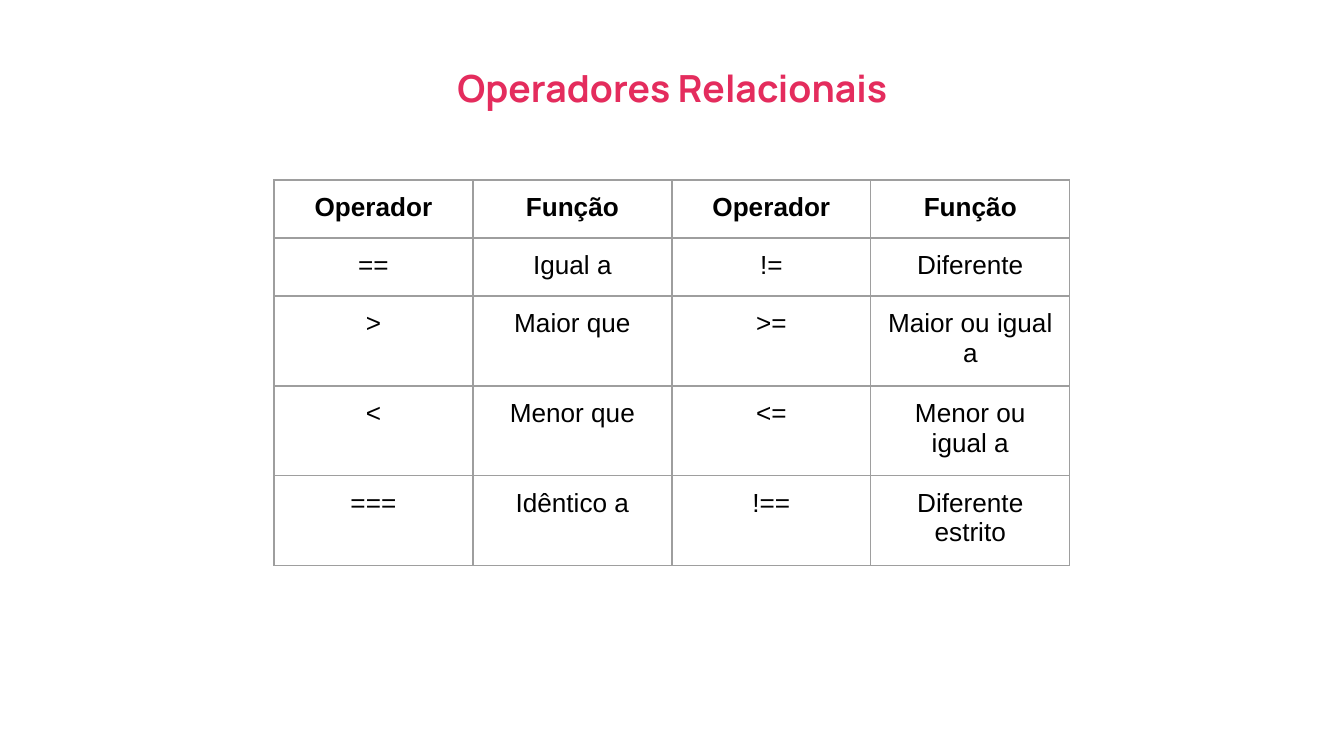
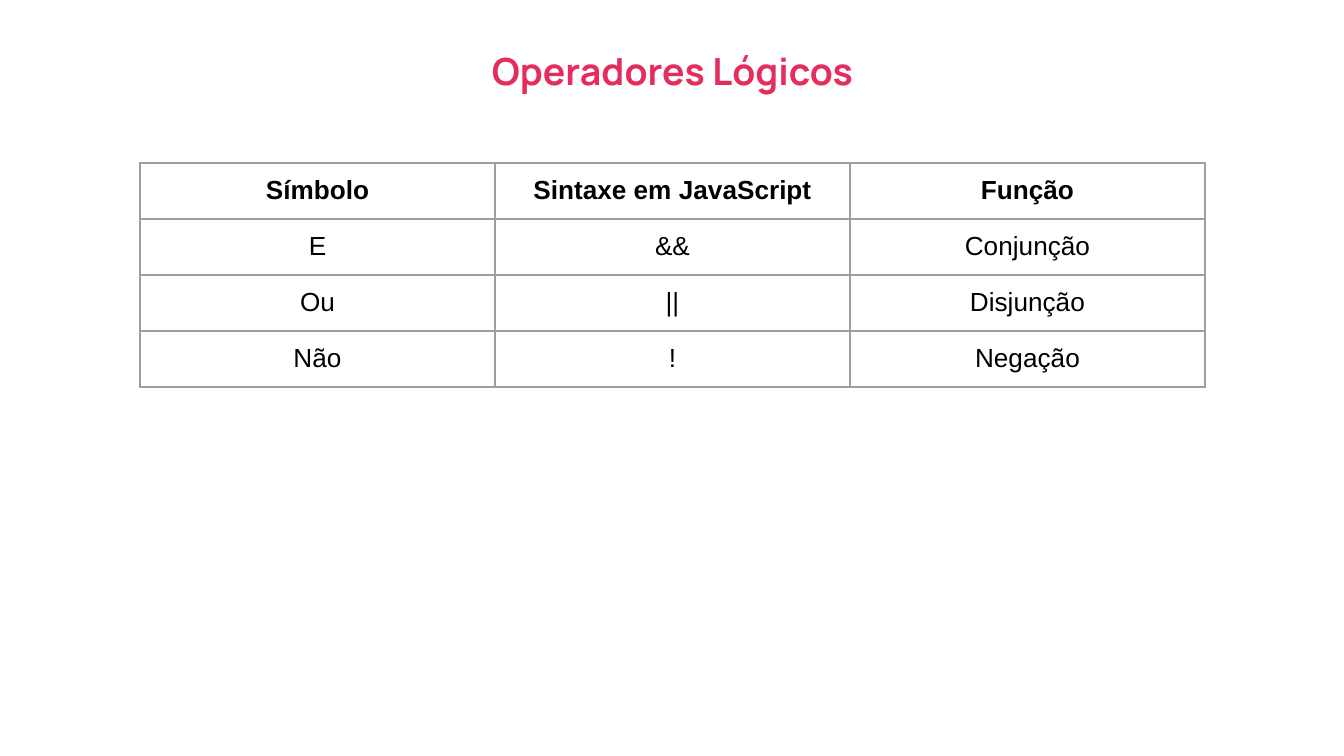
from lxml.etree import SubElement
from pptx import Presentation
from pptx.dml.color import RGBColor
from pptx.enum.text import MSO_ANCHOR, PP_ALIGN
from pptx.oxml.ns import qn
from pptx.util import Pt

SCALE = 914400 / 134.4
PINK = RGBColor(0xE4, 0x2C, 0x5D)
BLACK = RGBColor(0x00, 0x00, 0x00)
GRAY = RGBColor(0x9E, 0x9E, 0x9E)
INSET = 13

RELATIONAL = [
    ("Operador", "Função", "Operador", "Função"),
    ("==", "Igual a", "!=", "Diferente"),
    (">", "Maior que", ">=", "Maior ou igual a"),
    ("<", "Menor que", "<=", "Menor ou igual a"),
    ("===", "Idêntico a", "!==", "Diferente estrito"),
]
LOGICAL = [
    ("Símbolo", "Sintaxe em JavaScript", "Função"),
    ("E", "&&", "Conjunção"),
    ("Ou", "||", "Disjunção"),
    ("Não", "!", "Negação"),
]


def px(n):
    """Turn pixels into EMU."""
    return round(n * SCALE)


def set_text(tf, text, font="Arial", size=14, color=BLACK, bold=False):
    """Write one centred, formatted paragraph into a text frame."""
    p = tf.paragraphs[0]
    p.alignment = PP_ALIGN.CENTER
    r = p.add_run()
    r.text = text
    r.font.name = font
    r.font.size = Pt(size)
    r.font.bold = bold
    r.font.color.rgb = color


def set_insets(target):
    """Give a text frame or table cell the shared margins."""
    target.margin_left = target.margin_right = px(INSET)
    target.margin_top = target.margin_bottom = px(INSET)


def set_borders(cell):
    """Draw a thin gray line on each side of a cell."""
    tc_pr = cell._tc.get_or_add_tcPr()
    for side in ("a:lnL", "a:lnR", "a:lnT", "a:lnB"):
        ln = SubElement(tc_pr, qn(side), w=str(Pt(0.75)))
        fill = SubElement(ln, qn("a:solidFill"))
        SubElement(fill, qn("a:srgbClr"), val=str(GRAY))


def add_title(slide, text, x, y, w, h):
    """Place and format the title placeholder."""
    sp = slide.shapes.title
    sp.left, sp.top, sp.width, sp.height = px(x), px(y), px(w), px(h)
    tf = sp.text_frame
    tf.word_wrap = True
    tf.vertical_anchor = MSO_ANCHOR.MIDDLE
    set_insets(tf)
    set_text(tf, text, font="Manrope", size=20, color=PINK, bold=True)


def add_operator_table(slide, rows, x, y, col_width, row_heights):
    """Add a bordered table with a bold header row and equal columns."""
    n_cols = len(rows[0])
    table = slide.shapes.add_table(
        len(rows), n_cols, px(x), px(y),
        px(col_width * n_cols), px(sum(row_heights))).table
    table.first_row = table.horz_banding = False
    for col in table.columns:
        col.width = px(col_width)
    for i, (values, height) in enumerate(zip(rows, row_heights)):
        table.rows[i].height = px(height)
        for j, value in enumerate(values):
            cell = table.cell(i, j)
            set_insets(cell)
            set_borders(cell)
            cell.fill.background()
            set_text(cell.text_frame, value, bold=i == 0)


def add_operator_slide(prs, title, title_top, rows, x, y, col_width, row_heights):
    """Add a slide with a centred title above a table of operators."""
    slide = prs.slides.add_slide(prs.slide_layouts[5])
    add_operator_table(slide, rows, x, y, col_width, row_heights)
    add_title(slide, title, 46, title_top, 1253, 124)


def main():
    """Build and save the presentation."""
    prs = Presentation()
    prs.slide_width, prs.slide_height = px(1344), px(756)
    add_operator_slide(prs, "Operadores Relacionais", 26, RELATIONAL,
                       274, 180, 199, [58] * 2 + [90] * 3)
    add_operator_slide(prs, "Operadores Lógicos", 9, LOGICAL,
                       140, 163, 355, [56] * 4)
    prs.save("out.pptx")


if __name__ == "__main__":
    main()
